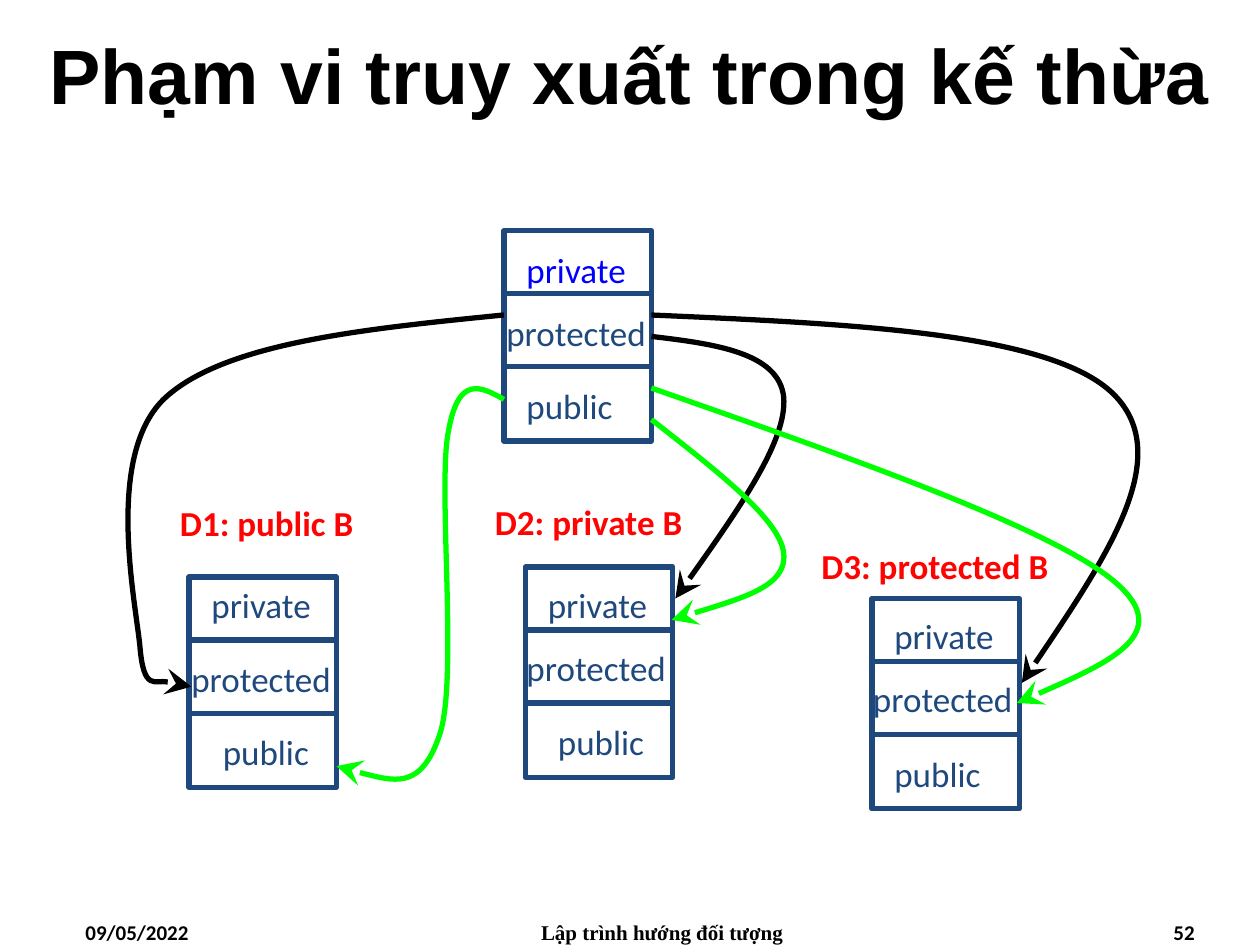
"""Build a slide on access scope in class inheritance."""
from dataclasses import dataclass

import lxml.etree
import pptx
import pptx.dml.color
import pptx.enum.shapes
import pptx.enum.text
import pptx.oxml.ns
import pptx.util

Inches = pptx.util.Inches
Align = pptx.enum.text.PP_ALIGN
Anchor = pptx.enum.text.MSO_ANCHOR
qn = pptx.oxml.ns.qn

COLORS = {"navy": "1F497D", "blue": "0000FF", "red": "FF0303",
          "black": "000000", "green": "00FF00"}
BOX_WIDTH, BOX_HEIGHT = 1.17, 1.67
DIVIDERS = (0.5, 1.08)
LABEL_WIDTHS = {"private": 1.03, "protected": 1.32, "public": 0.94}
LABEL_HEIGHT = 0.44


@dataclass
class ClassBox:
    left: float
    top: float
    labels: dict[str, tuple[float, float]]
    private_color: str = "navy"


@dataclass
class Heading:
    text: str
    left: float
    top: float
    width: float


@dataclass
class Curve:
    color: str
    points: list[tuple[float, float]]


@dataclass
class Footer:
    text: str
    left: float
    width: float
    align: Align
    font: str = "Calibri"


CLASS_BOXES = [
    ClassBox(4, 1.83, {"private": (4.08, 1.92), "protected": (3.92, 2.42),
                       "public": (4.08, 3)}, "blue"),
    ClassBox(1.5, 4.58, {"private": (1.58, 4.58), "protected": (1.42, 5.17),
                         "public": (1.67, 5.75)}),
    ClassBox(4.17, 4.5, {"private": (4.25, 4.58), "protected": (4.08, 5.08),
                         "public": (4.33, 5.67)}),
    ClassBox(6.92, 4.75, {"private": (7, 4.83), "protected": (6.83, 5.33),
                          "public": (7, 5.92)}),
]
HEADINGS = [
    Heading("D1: public B", 1.33, 3.93, 1.65),
    Heading("D2: private B", 3.83, 3.92, 1.74),
    Heading("D3: protected B", 6.42, 4.27, 2.02),
]
CURVES = [
    Curve("black", [(4, 2.5), (2.9, 2.61), (1.8, 2.72), (1.32, 3.15),
                    (0.83, 3.59), (1.07, 4.74), (1.11, 5.12),
                    (1.14, 5.5), (1.45, 5.39), (1.52, 5.45)]),
    Curve("black", [(5.17, 2.67), (5.68, 2.73), (6.18, 2.8), (6.22, 3.15),
                    (6.25, 3.49), (5.81, 4.12), (5.36, 4.75)]),
    Curve("black", [(5.17, 2.5), (6.76, 2.57), (8.35, 2.64), (8.84, 3.13),
                    (9.33, 3.62), (8.72, 4.52), (8.11, 5.42)]),
    Curve("green", [(5.17, 3.33), (5.68, 3.73), (6.19, 4.12), (6.22, 4.39),
                    (6.25, 4.65), (5.79, 4.78), (5.33, 4.92)]),
    Curve("green", [(5.17, 3.08), (6.77, 3.64), (8.36, 4.2), (8.85, 4.62),
                    (9.33, 5.03), (8.7, 5.31), (8.07, 5.58)]),
    Curve("green", [(4, 3.17), (3.82, 3.07), (3.64, 2.97), (3.56, 3.42),
                    (3.47, 3.86), (3.64, 5.39), (3.49, 5.83),
                    (3.34, 6.28), (3.01, 6.18), (2.67, 6.08)]),
]
FOOTERS = [
    Footer("09/05/2022", 0.58, 2.33, Align.LEFT),
    Footer("Lập trình hướng đối tượng", 3.67, 3.17, Align.CENTER, "Times New Roman"),
    Footer("52", 7.25, 2.33, Align.RIGHT),
]


def rgb(name: str) -> pptx.dml.color.RGBColor:
    return pptx.dml.color.RGBColor.from_string(COLORS[name])


def write(box, text: str, *, size: float = 20, color: str = "navy",
          font: str = "Calibri", bold: bool = False, align=Align.LEFT,
          anchor=Anchor.TOP, wrap: bool = False) -> None:
    frame = box.text_frame
    frame.word_wrap = wrap
    frame.vertical_anchor = anchor
    para = frame.paragraphs[0]
    para.alignment = align
    span = para.add_run()
    span.text = text
    span.font.size = pptx.util.Pt(size)
    span.font.name = font
    span.font.bold = bold
    span.font.color.rgb = rgb(color)


def add_text(page, left: float, top: float, width: float, height: float,
             text: str, **style) -> None:
    box = page.shapes.add_textbox(Inches(left), Inches(top), Inches(width), Inches(height))
    write(box, text, **style)


def style_line(shape, color: str) -> None:
    shape.line.color.rgb = rgb(color)
    shape.line.width = pptx.util.Pt(3)


def draw_class_box(page, item: ClassBox) -> None:
    group = page.shapes.add_group_shape()
    frame = group.shapes.add_shape(
        pptx.enum.shapes.MSO_SHAPE.RECTANGLE, Inches(item.left), Inches(item.top),
        Inches(BOX_WIDTH), Inches(BOX_HEIGHT))
    frame.shadow.inherit = False
    frame.fill.background()
    style_line(frame, "navy")
    for offset in DIVIDERS:
        height = Inches(item.top + offset)
        divider = group.shapes.add_connector(
            pptx.enum.shapes.MSO_CONNECTOR.STRAIGHT, Inches(item.left), height,
            Inches(item.left + BOX_WIDTH), height)
        style_line(divider, "navy")
        lxml.etree.SubElement(divider._element.spPr, qn("a:effectLst"))


def draw_labels(page, item: ClassBox) -> None:
    for text, (left, top) in item.labels.items():
        color = item.private_color if text == "private" else "navy"
        add_text(page, left, top, LABEL_WIDTHS[text], LABEL_HEIGHT, text, color=color)


def draw_curve(page, curve: Curve) -> None:
    start, *rest = [(Inches(x), Inches(y)) for x, y in curve.points]
    builder = page.shapes.build_freeform(*start)
    builder.add_line_segments(rest, close=False)
    shape = builder.convert_to_shape()
    shape.shadow.inherit = False
    shape.fill.background()
    style_line(shape, curve.color)
    outline = shape._element.spPr.find(".//" + qn("a:path"))
    segments = outline.findall(qn("a:lnTo"))
    for first in range(0, len(segments), 3):
        bezier = lxml.etree.SubElement(outline, qn("a:cubicBezTo"))
        for segment in segments[first:first + 3]:
            bezier.append(segment[0])
            outline.remove(segment)
    line = shape._element.spPr.find(qn("a:ln"))
    lxml.etree.SubElement(line, qn("a:tailEnd"), type="stealth", w="lg", len="lg")


def main() -> None:
    deck = pptx.Presentation()
    deck.slide_width, deck.slide_height = Inches(10), Inches(7.5)
    page = deck.slides.add_slide(deck.slide_layouts[5])
    title = page.shapes.title
    title.left, title.top = Inches(0), Inches(0)
    title.width, title.height = Inches(10), Inches(1.17)
    write(title, "Phạm vi truy xuất trong kế thừa", size=44, color="black",
          font="Arial", bold=True, align=Align.CENTER, anchor=Anchor.MIDDLE, wrap=True)
    for footer in FOOTERS:
        add_text(page, footer.left, 7.25, footer.width, 0.25, footer.text, size=12,
                 color="black", font=footer.font, bold=True, align=footer.align, wrap=True)
    for item in CLASS_BOXES:
        draw_class_box(page, item)
    for item in CLASS_BOXES:
        draw_labels(page, item)
    for heading in HEADINGS:
        add_text(page, heading.left, heading.top, heading.width, 0.43, heading.text,
                 color="red", bold=True)
    for curve in CURVES:
        draw_curve(page, curve)
    deck.save("out.pptx")


if __name__ == "__main__":
    main()
